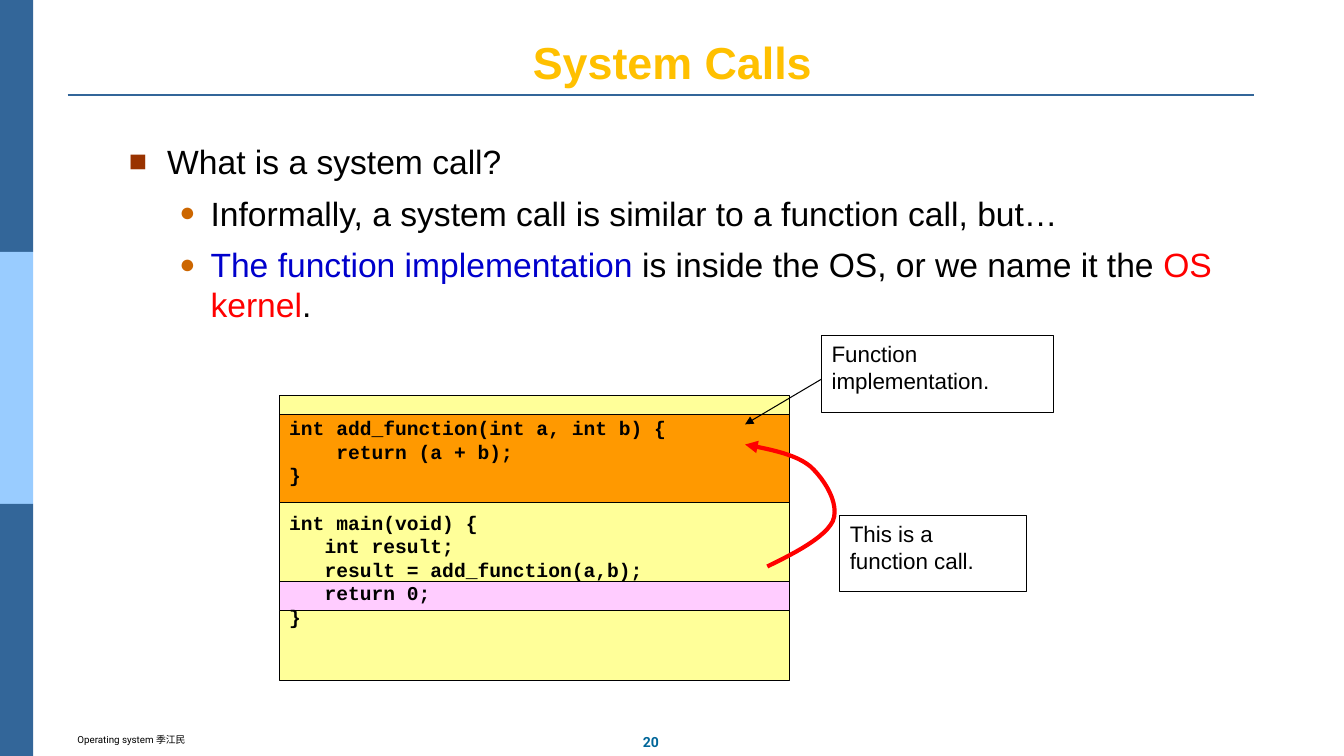
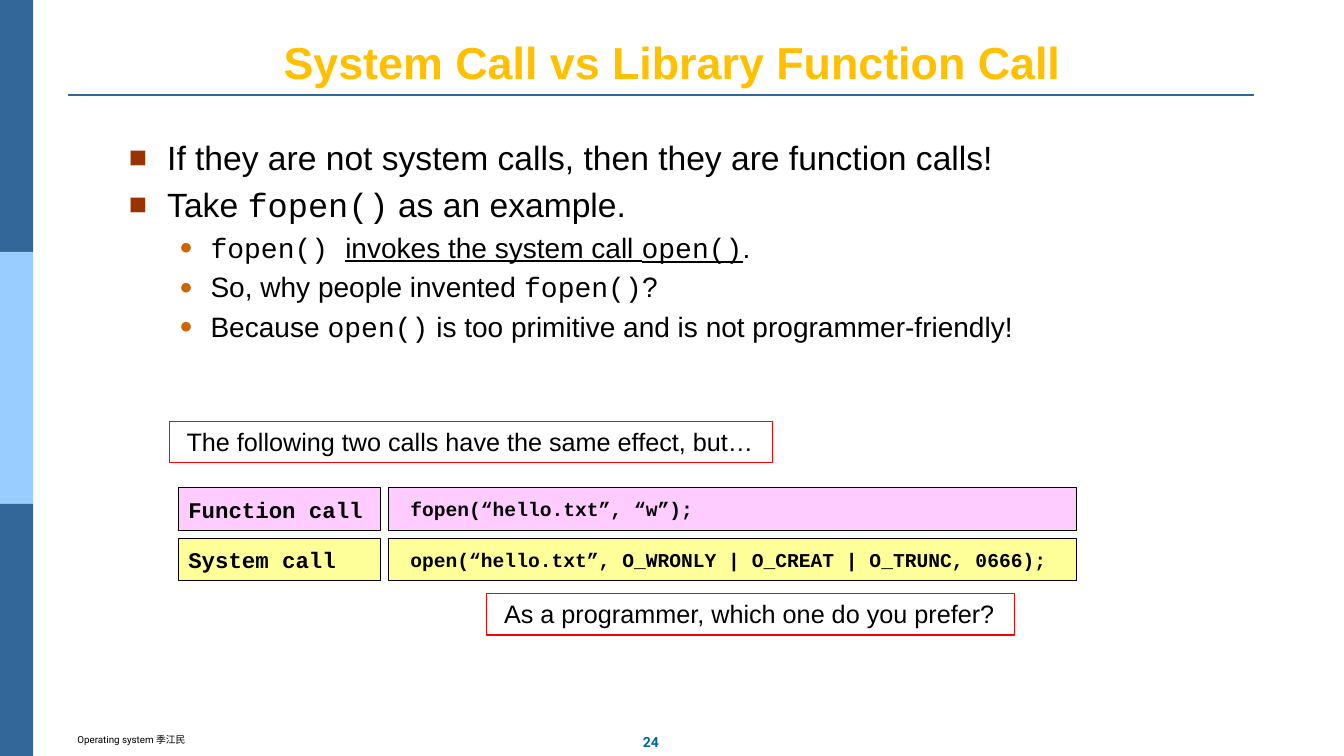
from lxml import etree
from pptx import Presentation
from pptx import util as u
from pptx.dml.color import RGBColor
from pptx.enum import shapes, text
from pptx.oxml.ns import qn

EMU_PER_PX = 9144
SANS, MONO, FOOTER_FONT = "Arial", "Courier New", "Roboto"
BLACK, RED, BLUE = "000000", "FF0000", "0000CC"
STEEL, SKY, GOLD, PAGE_BLUE = "336699", "99CCFF", "FFC000", "006699"
YELLOW, PINK, ORANGE = "FFFF99", "FFCCFF", "FF9900"
BULLETS = [("■", "993300", 90, 38, -38), ("●", "CC6600", 80, 81, -31)]


def px(length):
    return u.Emu(round(length * EMU_PER_PX))


def rgb(value):
    return RGBColor.from_string(value)


def add_xml(parent, tag, **attributes):
    return etree.SubElement(parent, qn(tag), attributes)


def format_run(run, size, font=SANS, color=BLACK, bold=False, underline=False):
    run.font.size = u.Pt(size)
    run.font.name = font
    run.font.color.rgb = rgb(color)
    run.font.bold = bold
    run.font.underline = underline


def fill_text(frame, lines, align=text.PP_ALIGN.LEFT, **style):
    frame.text = "\n".join(lines)
    for paragraph in frame.paragraphs:
        paragraph.alignment = align
        for run in paragraph.runs:
            format_run(run, **style)


def add_text(slide, area, lines, wrap=True, **style):
    shape = slide.shapes.add_textbox(*map(px, area))
    shape.text_frame.word_wrap = wrap
    fill_text(shape.text_frame, lines, **style)
    return shape


def add_box(slide, area, fill=None, line=BLACK, lines=(), anchor=text.MSO_ANCHOR.TOP,
            left_inset=10, **style):
    shape = slide.shapes.add_shape(shapes.MSO_SHAPE.RECTANGLE, *map(px, area))
    shape.shadow.inherit = False
    if fill:
        shape.fill.solid()
        shape.fill.fore_color.rgb = rgb(fill)
    else:
        shape.fill.background()
    if line:
        shape.line.color.rgb = rgb(line)
        shape.line.width = u.Pt(0.75)
    else:
        shape.line.fill.background()
    if lines:
        frame = shape.text_frame
        frame.word_wrap = True
        frame.vertical_anchor = anchor
        frame.margin_left = px(left_inset)
        fill_text(frame, lines, **style)


def style_line(shape, color, width, arrow):
    shape.line.color.rgb = rgb(color)
    shape.line.width = u.Pt(width)
    if arrow:
        add_xml(shape.line._get_or_add_ln(), "a:tailEnd", type="triangle")


def add_line(slide, start, end, color, width, arrow=False):
    line = slide.shapes.add_connector(
        shapes.MSO_CONNECTOR.STRAIGHT, *map(px, (*start, *end)))
    style_line(line, color, width, arrow)
    add_xml(line._element.spPr, "a:effectLst")


def bezier_point(controls, t):
    weights = ((1 - t) ** 3, 3 * t * (1 - t) ** 2, 3 * t * t * (1 - t), t ** 3)
    return tuple(px(sum(weight * point[axis] for weight, point in zip(weights, controls)))
                 for axis in (0, 1))


def add_curved_arrow(slide, controls, color, width, steps=12):
    points = [bezier_point(controls[first:first + 4], step / steps)
              for first in range(0, len(controls) - 1, 3)
              for step in range(1, steps + 1)]
    builder = slide.shapes.build_freeform(*map(px, controls[0]))
    builder.add_line_segments(points, close=False)
    curve = builder.convert_to_shape()
    curve.shadow.inherit = False
    curve.fill.background()
    style_line(curve, color, width, arrow=True)


def add_bullet(paragraph, level):
    symbol, color, percent, margin, indent = BULLETS[level]
    paragraph.level = level
    properties = paragraph._p.get_or_add_pPr()
    properties.set("marL", str(px(margin)))
    properties.set("indent", str(px(indent)))
    add_xml(add_xml(properties, "a:buClr"), "a:srgbClr", val=color)
    add_xml(properties, "a:buSzPct", val=str(percent * 1000))
    add_xml(properties, "a:buFont", typeface=SANS)
    add_xml(properties, "a:buChar", char=symbol)


def add_bullets(slide, items, line_spacing=None):
    frame = slide.shapes.add_textbox(*map(px, (118, 135, 1149, 495))).text_frame
    frame.word_wrap = True
    for index, (level, size, runs) in enumerate(items):
        paragraph = frame.add_paragraph() if index else frame.paragraphs[0]
        add_bullet(paragraph, level)
        if index:
            paragraph.space_before = u.Pt(round(size * 0.33, 1))
        if line_spacing:
            paragraph.line_spacing = line_spacing
        for content, style in runs:
            run = paragraph.add_run()
            run.text = content
            format_run(run, size, **style)


def add_slide(presentation, title, number):
    slide = presentation.slides.add_slide(presentation.slide_layouts[5])
    for index, color in enumerate((STEEL, SKY, STEEL)):
        add_box(slide, (0, 250 * index, 33, 250), color, line=None)
    add_line(slide, (67, 94), (1244, 94), STEEL, 1.5)
    add_text(slide, (627, 723, 37, 27), [str(number)], wrap=False,
             align=text.PP_ALIGN.CENTER, size=10, font=FOOTER_FONT,
             color=PAGE_BLUE, bold=True)
    add_text(slide, (67, 723, 248, 22), ["Operating system 季江民"],
             size=7, font=FOOTER_FONT)
    heading = slide.shapes.title
    heading.left, heading.top, heading.width, heading.height = map(px, (67, 30, 1200, 63))
    frame = heading.text_frame
    frame.auto_size = text.MSO_AUTO_SIZE.NONE
    frame.vertical_anchor = text.MSO_ANCHOR.BOTTOM
    fill_text(frame, [title], align=text.PP_ALIGN.CENTER, size=32, color=GOLD, bold=True)
    return slide


def build_system_calls(presentation):
    slide = add_slide(presentation, "System Calls", 20)
    add_bullets(slide, [
        (0, 24, [("What is a system call?", {})]),
        (1, 24, [("Informally, a system call is similar to a function call, but…", {})]),
        (1, 24, [("The function implementation ", {"color": BLUE}),
                 ("is inside the OS, or we name it the ", {}),
                 ("OS kernel", {"color": RED}), (".", {})]),
    ])
    for top, height, fill in ((392, 283, YELLOW), (577, 29, PINK), (411, 88, ORANGE)):
        add_box(slide, (277, top, 506, height), fill)
    add_box(slide, (833, 511, 185, 76), lines=["This is a function call."], size=16)
    function_code = ["int add_function(int a, int b) {", "    return (a + b);", "}"]
    main_code = ["int main(void) {", "   int result;", "   result = add_function(a,b);",
                 "   return 0;", "}"]
    code = add_text(slide, (277, 408, 512, 260), function_code + main_code,
                    size=14, font=MONO, bold=True)
    code.text_frame.paragraphs[len(function_code)].space_before = u.Pt(17)
    add_curved_arrow(slide, [(761, 562), (790, 548), (818, 533), (826, 517), (833, 500),
                             (818, 476), (804, 463), (790, 451), (765, 446), (739, 441)],
                     RED, 3)
    add_line(slide, (815, 376), (739, 421), BLACK, 0.75, arrow=True)
    add_box(slide, (815, 333, 230, 76), lines=["Function", "implementation."], size=16)


def build_call_comparison(presentation):
    slide = add_slide(presentation, "System Call vs Library Function Call", 24)
    mono = {"font": MONO}
    add_bullets(slide, [
        (0, 24, [("If they are not system calls, then they are function calls!", {})]),
        (0, 24, [("Take ", {}), ("fopen()", mono), (" as an example.", {})]),
        (1, 20, [("fopen() ", mono), ("invokes the system call ", {"underline": True}),
                 ("open()", {"font": MONO, "underline": True}), (".", {})]),
        (1, 20, [("So, why people invented ", {}), ("fopen()", mono), ("?", {})]),
        (1, 20, [("Because ", {}), ("open()", mono),
                 (" is too primitive and is not programmer-friendly!", {})]),
    ], line_spacing=0.9)
    calls = [
        ("Function call", "fopen(“hello.txt”, “w”);", PINK),
        ("System call", "open(“hello.txt”, O_WRONLY | O_CREAT | O_TRUNC, 0666);", YELLOW),
    ]
    for row, (label, code, fill) in enumerate(calls):
        top = 484 + 50 * row
        for left, width, content, size, inset in ((177, 200, label, 16, 10),
                                                  (385, 683, code, 14, 22)):
            add_box(slide, (left, top, width, 42), fill, lines=[content], size=size,
                    font=MONO, bold=True, anchor=text.MSO_ANCHOR.MIDDLE, left_inset=inset)
    for area, remark in (
            ((483, 589, 523, 41), "As a programmer, which one do you prefer?"),
            ((168, 418, 598, 41), "The following two calls have the same effect, but…")):
        add_box(slide, area, line=RED, lines=[remark], size=18, left_inset=17)


def main():
    presentation = Presentation()
    presentation.slide_width, presentation.slide_height = u.Inches(13.33), u.Inches(7.5)
    build_system_calls(presentation)
    build_call_comparison(presentation)
    presentation.save("out.pptx")


if __name__ == "__main__":
    main()
